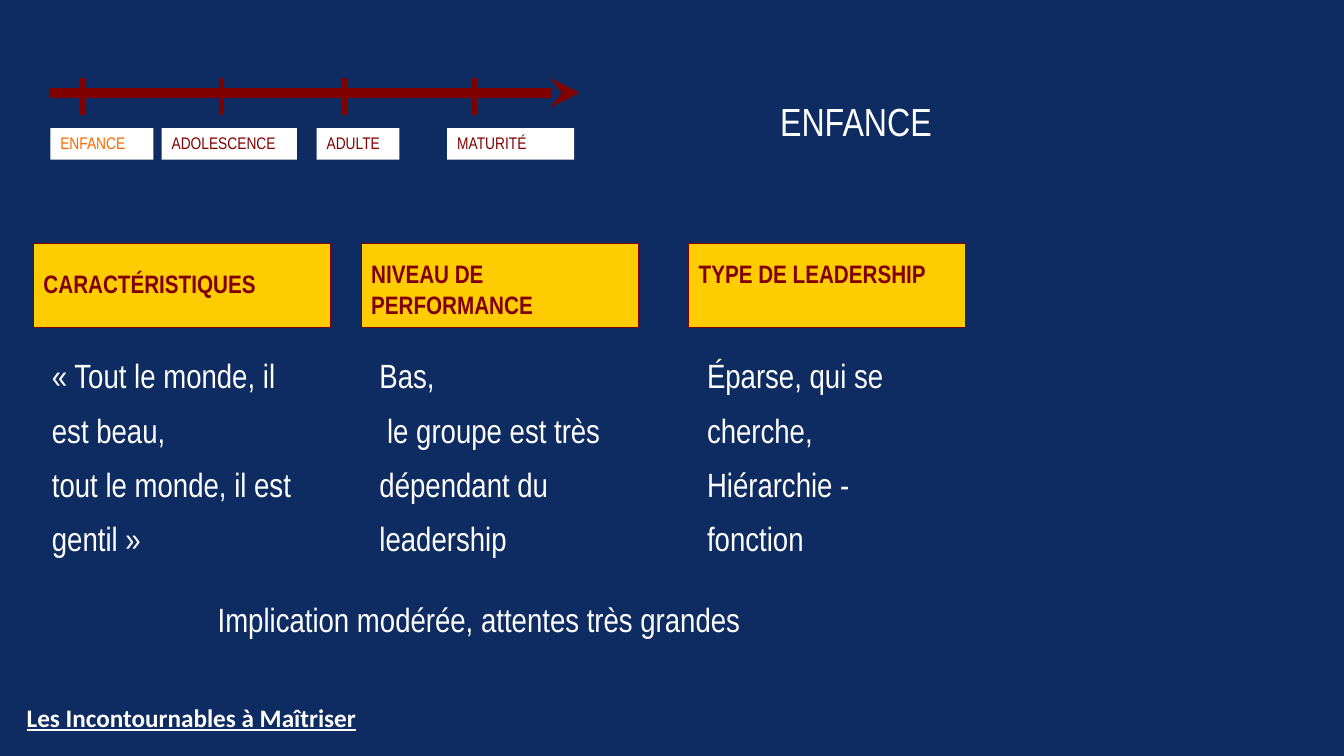
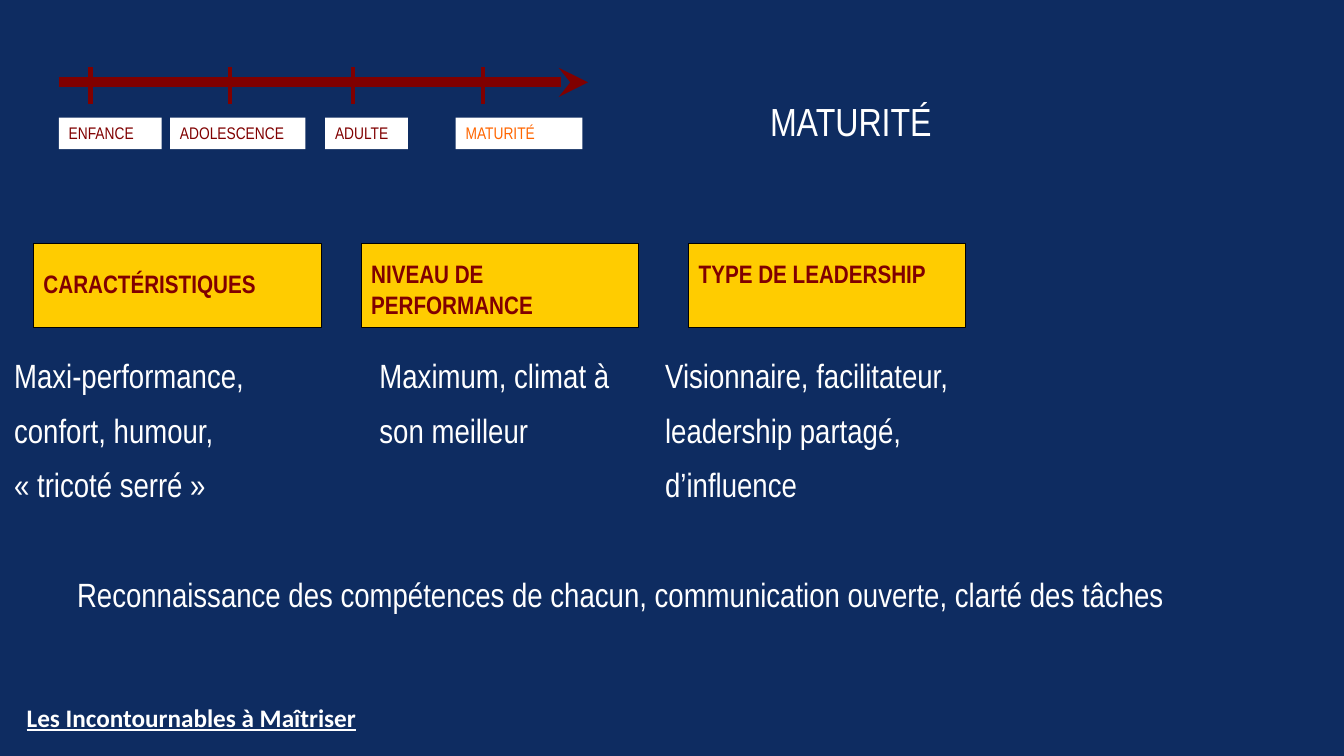
from lxml.etree import SubElement as Sub
from pptx import Presentation as Deck
from pptx.dml.color import RGBColor as Rgb
from pptx.enum.shapes import MSO_CONNECTOR as Wire, MSO_SHAPE as Form
from pptx.enum.text import MSO_ANCHOR as Anchor, PP_ALIGN as Align
from pptx.oxml.ns import qn
from pptx.util import Emu, Inches, Pt

WIDE, HIGH = 12192000, 6858000
COLS = 160
CELL = WIDE // COLS
NAVY, GOLD, WINE, FLAME = "0E2C61", "FFCC00", "800000", "FF6600"
WHITE, BLACK = "FFFFFF", "000000"
FONT = "Arial Narrow"

STEPS = [
    ("ENFANCE", 0, 12.25, 3.8),
    ("ADOLESCENCE", 13.25, 16.1, 20.4),
    ("ADULTE", 31.7, 9.85, 35),
    ("MATURITÉ", 47.25, 15.1, 50.5),
]
HEADS = [
    ("CARACTÉRISTIQUES", 0.25),
    ("NIVEAU DE PERFORMANCE", 0.15),
    ("TYPE DE LEADERSHIP", 0.15),
]
PAGES = [
    dict(
        name="ENFANCE", axis=(6, 9.25), edge=WINE, first=35.3,
        body=[
            ("« Tout le monde, il est beau,\ntout le monde, il est gentil »", 5, 33.2),
            ("Bas,\n le groupe est très dépendant du leadership", 44, 31),
            ("Éparse, qui se cherche,\nHiérarchie - fonction", 83, 31),
        ],
        note=("Implication modérée, attentes très grandes", (15, 69, 84, 7.5), Align.CENTER),
    ),
    dict(
        name="MATURITÉ", axis=(7, 8), edge=BLACK, first=34.3,
        body=[
            ("Maxi-performance,\nconfort, humour,\n« tricoté serré »", 0.5, 42.6),
            ("Maximum, climat à son meilleur", 44, 31),
            ("Visionnaire, facilitateur, leadership partagé, d’influence", 78, 40.2),
        ],
        note=(
            "Reconnaissance des compétences de chacun, communication ouverte, clarté des tâches",
            (8, 66, 138, 7.5), Align.LEFT,
        ),
    ),
]


def tint(code):
    """Turn a hex string into a colour."""
    return Rgb.from_string(code)


def grid(*cells):
    """Turn grid cells into lengths."""
    return [Emu(round(c * CELL)) for c in cells]


def write(shape, text, size=24, color=WHITE, font=FONT, bold=False,
          under=False, align=Align.LEFT, lead=None, top=0.05):
    """Fill a shape with text in one format."""
    frame = shape.text_frame
    frame.word_wrap = True
    frame.vertical_anchor = Anchor.TOP
    frame.margin_left = frame.margin_right = Inches(0.1)
    frame.margin_top, frame.margin_bottom = Inches(top), Inches(0.05)
    frame.text = text
    for para in frame.paragraphs:
        para.alignment = align
        if lead:
            para.line_spacing = lead
        face = para.font
        face.name, face.size = font, Pt(size)
        face.bold, face.underline = bold, under
        face.color.rgb = tint(color)


def label(slide, text, box, **form):
    """Add a text box."""
    write(slide.shapes.add_textbox(*grid(*box)), text, **form)


def panel(slide, text, box, fill, edge=None, **form):
    """Add a filled rectangle with text."""
    shape = slide.shapes.add_shape(Form.RECTANGLE, *grid(*box))
    shape.shadow.inherit = False
    shape.fill.solid()
    shape.fill.fore_color.rgb = tint(fill)
    if edge:
        shape.line.color.rgb = tint(edge)
        shape.line.width = Pt(0.75)
    else:
        shape.line.fill.background()
    write(shape, text, **form)


def stroke(slide, ends, width, arrow=False):
    """Draw a straight line, with an optional arrowhead."""
    line = slide.shapes.add_connector(Wire.STRAIGHT, *grid(*ends))
    line.line.color.rgb = tint(WINE)
    line.line.width = Pt(width)
    props = line.element.spPr
    if arrow:
        Sub(props.find(qn("a:ln")), qn("a:tailEnd"), type="stealth")
    Sub(props, qn("a:effectLst"))


def axis(slide, box, now):
    """Draw the life line with its stages."""
    left, top, wide, high = box
    mid = top + high * 0.185
    stroke(slide, (left, mid, left + wide, mid), 7, arrow=True)
    for text, start, span, tick in STEPS:
        spot = left + tick
        color = FLAME if text == now else WINE
        panel(slide, text, (left + start, top + 6, span, 3.75), WHITE,
              size=12, color=color)
        stroke(slide, (spot, top, spot, top + 4.4), 3.25)


def heads(slide, box, edge, first):
    """Place the three column headings."""
    left, top, wide, high = box
    pitch = (wide - 33) / 2
    for rank, (text, inset) in enumerate(HEADS):
        span = 33 if rank else first
        panel(slide, text, (left + rank * pitch, top, span, high), GOLD, edge,
              size=18, color=WINE, bold=True, top=inset)


def stage(deck, name, axis_at, edge, first, body, note):
    """Build the slide for one stage."""
    slide = deck.slides.add_slide(deck.slide_layouts[6])
    heads(slide, (4, 29, 111, 10), edge, first)
    label(slide, name, (84.5, 9, 27.6, 8.75), size=28, align=Align.RIGHT, lead=1.35)
    axis(slide, (*axis_at, 63, 9.75), name)
    for text, left, wide in body:
        label(slide, text, (left, 40, wide, 27), lead=1.35)
    text, box, align = note
    label(slide, text, box, align=align, lead=1.35)
    label(slide, "Les Incontournables à Maîtriser", (2, 83, 42, 4.8),
          size=18, font="Calibri", bold=True, under=True)


def main():
    """Build and save the deck."""
    deck = Deck()
    deck.slide_width, deck.slide_height = Emu(WIDE), Emu(HIGH)
    back = deck.slide_master.background.fill
    back.solid()
    back.fore_color.rgb = tint(NAVY)
    for page in PAGES:
        stage(deck, page["name"], page["axis"], page["edge"], page["first"],
              page["body"], page["note"])
    deck.save("out.pptx")


if __name__ == "__main__":
    main()
